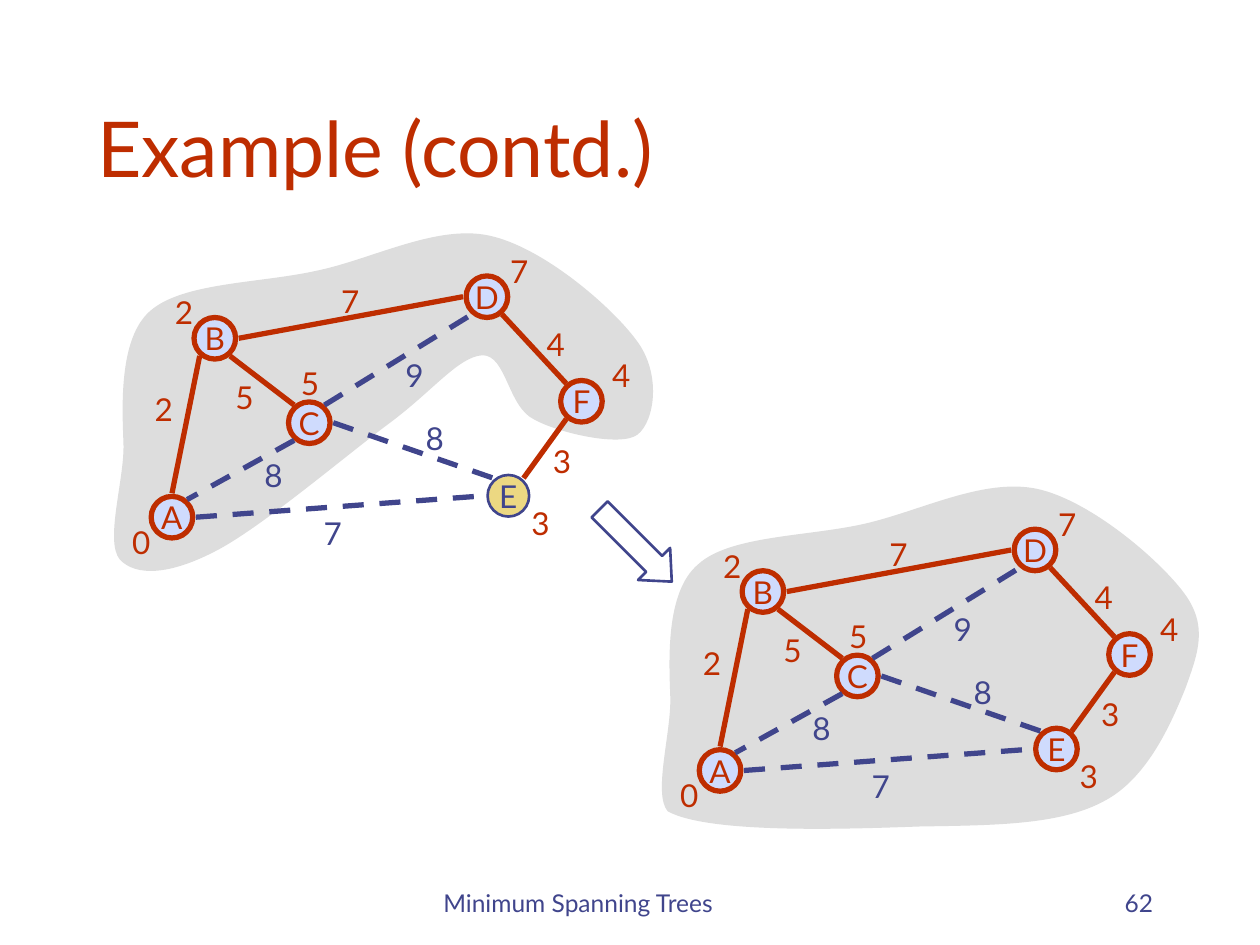
from lxml import etree
from pptx import Presentation
from pptx.dml.color import RGBColor
from pptx.enum.dml import MSO_LINE
from pptx.enum.shapes import MSO_CONNECTOR, MSO_SHAPE
from pptx.enum.text import MSO_ANCHOR, MSO_AUTO_SIZE, PP_ALIGN
from pptx.oxml.ns import qn
from pptx.util import Inches, Pt

LEFT, CENTER, RIGHT = PP_ALIGN.LEFT, PP_ALIGN.CENTER, PP_ALIGN.RIGHT
TOP, MIDDLE, BOTTOM = MSO_ANCHOR.TOP, MSO_ANCHOR.MIDDLE, MSO_ANCHOR.BOTTOM
NO_FIT, GROW = MSO_AUTO_SIZE.NONE, MSO_AUTO_SIZE.SHAPE_TO_FIT_TEXT
OVAL, RIGHT_ARROW = MSO_SHAPE.OVAL, MSO_SHAPE.RIGHT_ARROW
STRAIGHT, DASH = MSO_CONNECTOR.STRAIGHT, MSO_LINE.DASH

FONT = "Lato"
RED, BLUE, GRAY = "BE2D00", "40458C", "DDDDDD"
NODE_FILL, NEXT_FILL = "CFDBFD", "ECD882"
NODE_SIZE = 0.33
SECOND_GRAPH = (4.35, 2.01)

NODES = {
    "B": (1.54, 2.52), "D": (3.7, 2.19), "C": (2.29, 3.19),
    "A": (1.2, 3.94), "F": (4.45, 3.02), "E": (3.87, 3.77),
}
TREE_EDGES = [
    ("B", (1, 1), "C", (-1, -1)), ("B", (-1, 1), "A", (0, -1)),
    ("B", (1, 0), "D", (-1, 0)), ("F", (-1, -1), "D", (1, 1)),
    ("E", (1, -1), "F", (-1, 1)),
]
OTHER_EDGES = [
    ("C", (-1, 1), "A", (1, -1)), ("C", (1, 0), "E", (-1, -1)),
    ("A", (1, 0), "E", (-1, 0)), ("C", (1, -1), "D", (-1, 1)),
]
RED_LABELS = [
    ("7", 2.61, 2.19), ("4", 4.24, 2.53), ("2", 1.13, 3.05), ("5", 1.77, 2.95),
    ("3", 4.29, 3.46), ("0", 0.95, 4.1), ("3", 4.12, 3.95), ("2", 1.29, 2.28),
    ("5", 2.29, 2.84), ("4", 4.76, 2.78), ("7", 3.95, 1.95),
]
BLUE_LABELS = [
    ("8", 3.28, 3.28), ("7", 2.47, 4.03), ("9", 3.12, 2.78), ("8", 2, 3.57),
]
FIRST_CLOUD = [
    (0.98, 3.52), (0.99, 3.8), (0.83, 4.29), (0.95, 4.44), (1.08, 4.58), (1.35, 4.56),
    (1.7, 4.38), (2.06, 4.2), (2.74, 3.62), (3.09, 3.36), (3.44, 3.1), (3.64, 2.83),
    (3.83, 2.82), (4.02, 2.82), (4.03, 3.23), (4.24, 3.33), (4.44, 3.44), (4.93, 3.55),
    (5.06, 3.45), (5.2, 3.34), (5.25, 2.96), (5.05, 2.7), (4.86, 2.44), (4.31, 1.96),
    (3.88, 1.87), (3.46, 1.78), (2.95, 2.06), (2.51, 2.15), (2.06, 2.25), (1.45, 2.24),
    (1.19, 2.47), (0.94, 2.69), (0.97, 3.24), (0.98, 3.52),
]
SECOND_CLOUD = [
    (5.32, 5.53), (5.33, 5.81), (5.18, 6.3), (5.3, 6.44), (5.63, 6.62), (6.73, 6.58),
    (7.3, 6.56), (7.88, 6.55), (8.41, 6.55), (8.76, 6.36), (9.11, 6.18), (9.3, 5.73),
    (9.41, 5.46), (9.51, 5.18), (9.59, 4.97), (9.4, 4.71), (9.2, 4.44), (8.65, 3.97),
    (8.23, 3.88), (7.8, 3.79), (7.3, 4.06), (6.85, 4.16), (6.4, 4.26), (5.79, 4.25),
    (5.54, 4.48), (5.28, 4.7), (5.31, 5.25), (5.32, 5.53),
]


def color(value):
    """Return the colour for a hex string."""
    return RGBColor.from_string(value)


def write_text(shape, text, size=18, ink=RED, align=CENTER, anchor=TOP, wrap=False, fit=NO_FIT):
    """Write one formatted paragraph into a shape."""
    frame = shape.text_frame
    frame.text = text
    frame.word_wrap = wrap
    frame.auto_size = fit
    frame.vertical_anchor = anchor
    paragraph = frame.paragraphs[0]
    paragraph.alignment = align
    font = paragraph.runs[0].font
    font.name, font.size = FONT, Pt(size)
    font.color.rgb = color(ink)


def add_text(slide, text, left, top, width, height, **text_format):
    """Add a text box."""
    box = slide.shapes.add_textbox(Inches(left), Inches(top), Inches(width), Inches(height))
    write_text(box, text, **text_format)


def curve_outline(shape):
    """Turn each three straight segments of a freeform into one cubic curve."""
    segments = list(shape._element.iter(qn("a:lnTo")))
    for index in range(0, len(segments), 3):
        curve = etree.Element(qn("a:cubicBezTo"))
        segments[index].addprevious(curve)
        for segment in segments[index:index + 3]:
            curve.append(segment[0])
            segment.getparent().remove(segment)


def add_cloud(slide, points):
    """Add a grey area whose outline is a chain of cubic curves."""
    start, *rest = [(Inches(x), Inches(y)) for x, y in points]
    builder = slide.shapes.build_freeform(*start)
    builder.add_line_segments(rest, close=True)
    cloud = builder.convert_to_shape()
    curve_outline(cloud)
    cloud.shadow.inherit = False
    cloud.fill.solid()
    cloud.fill.fore_color.rgb = color(GRAY)
    cloud.line.fill.background()


def add_node(slide, name, left, top, fill=NODE_FILL, ink=RED, weight=3):
    """Add a round graph node with its name."""
    node = slide.shapes.add_shape(
        OVAL, Inches(left), Inches(top), Inches(NODE_SIZE), Inches(NODE_SIZE))
    node.shadow.inherit = False
    node.fill.solid()
    node.fill.fore_color.rgb = color(fill)
    node.line.color.rgb = color(ink)
    node.line.width = Pt(weight)
    write_text(node, name, ink=ink, anchor=MIDDLE)


def edge_end(name, side, offset):
    """Return the point where an edge meets the given side of a node."""
    reach = (0.12, 0.14) if all(side) else (0.19, 0.19)
    return [Inches(place + shift + NODE_SIZE / 2 + direction * distance)
            for place, shift, direction, distance in zip(NODES[name], offset, side, reach)]


def add_edge(slide, edge, offset, ink, dash=None):
    """Add a straight edge between two nodes."""
    start, start_side, end, end_side = edge
    line = slide.shapes.add_connector(
        STRAIGHT, *edge_end(start, start_side, offset), *edge_end(end, end_side, offset))
    line.line.color.rgb = color(ink)
    line.line.width = Pt(3)
    line.line.dash_style = dash
    etree.SubElement(line._element.spPr, qn("a:effectLst"))


def add_graph(slide, cloud, offset=(0, 0), next_node=None):
    """Add the weighted graph over the area already covered by the tree."""
    shift_x, shift_y = offset
    add_cloud(slide, cloud)
    for name, (left, top) in NODES.items():
        style = {"fill": NEXT_FILL, "ink": BLUE, "weight": 1.5} if name == next_node else {}
        add_node(slide, name, left + shift_x, top + shift_y, **style)
    for edges, ink, dash in ((TREE_EDGES, RED, None), (OTHER_EDGES, BLUE, DASH)):
        for edge in edges:
            add_edge(slide, edge, offset, ink, dash)
    for labels, ink in ((RED_LABELS, RED), (BLUE_LABELS, BLUE)):
        for text, left, top in labels:
            add_text(slide, text, left + shift_x, top + shift_y, 0.34, 0.4, ink=ink, fit=GROW)


def add_step_arrow(slide):
    """Add the outlined arrow that leads to the second graph."""
    arrow = slide.shapes.add_shape(
        RIGHT_ARROW, Inches(4.64), Inches(4.15), Inches(0.81), Inches(0.36))
    arrow.rotation = 45
    arrow.adjustments[1] = 0.55
    arrow.shadow.inherit = False
    arrow.fill.background()
    arrow.line.color.rgb = color(BLUE)
    arrow.line.width = Pt(1.5)


def add_title(slide, text):
    """Place and write the slide title."""
    title = slide.shapes.title
    title.left, title.top = Inches(0.67), Inches(0.33)
    title.width, title.height = Inches(8.5), Inches(1.25)
    write_text(title, text, size=44, align=LEFT, anchor=BOTTOM, wrap=True)


def main():
    """Build the slide and save it."""
    presentation = Presentation()
    presentation.slide_width, presentation.slide_height = Inches(10), Inches(7.5)
    slide = presentation.slides.add_slide(presentation.slide_layouts[5])
    footer = {"size": 14, "ink": BLUE, "anchor": BOTTOM, "wrap": True}
    add_text(slide, "Minimum Spanning Trees", 3.42, 6.83, 3.17, 0.5, align=LEFT, **footer)
    add_text(slide, "62", 7.17, 6.83, 2.08, 0.5, align=RIGHT, **footer)
    add_title(slide, "Example (contd.)")
    add_graph(slide, FIRST_CLOUD, next_node="E")
    add_graph(slide, SECOND_CLOUD, offset=SECOND_GRAPH)
    add_step_arrow(slide)
    presentation.save("out.pptx")


if __name__ == "__main__":
    main()
